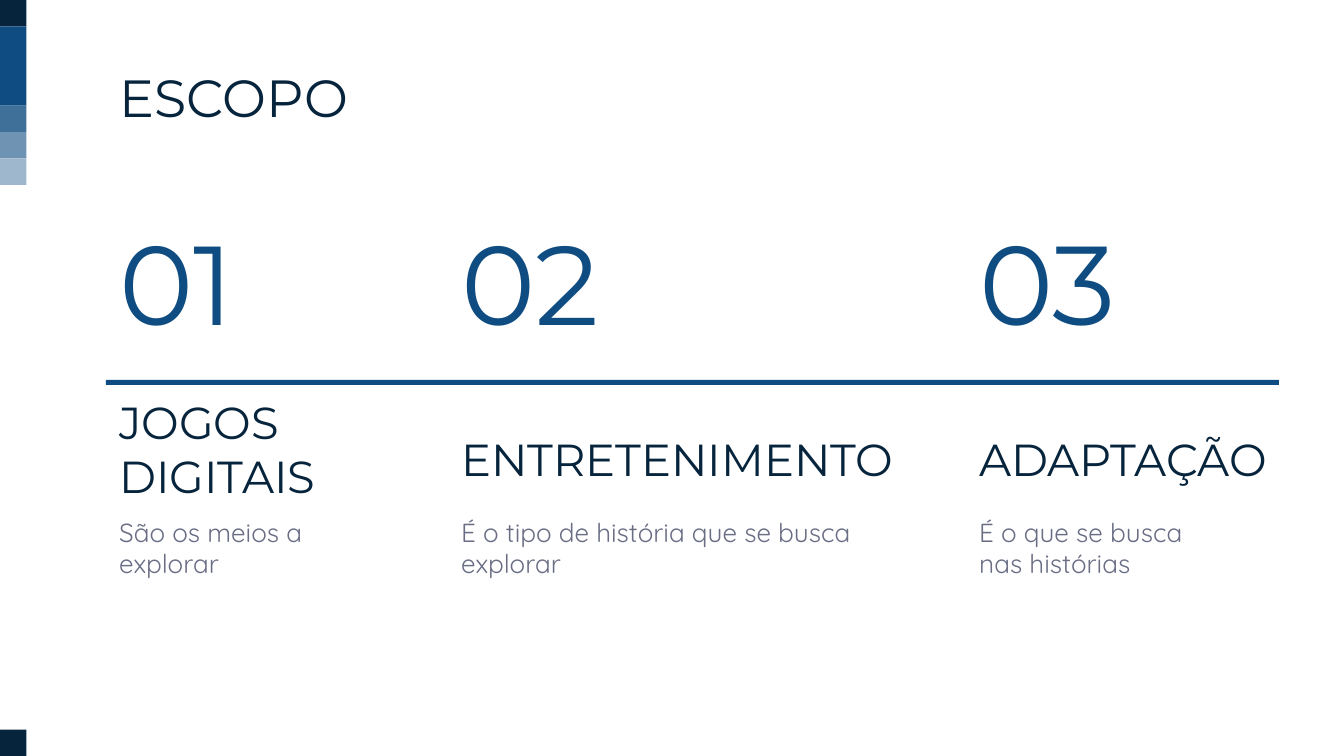
import pptx
import pptx.util
import pptx.dml.color
import pptx.enum.shapes
import pptx.enum.text

ANCHOR = pptx.enum.text.MSO_ANCHOR
PX = 914400 / 134.4
WIDTH, HEIGHT = 1344, 756
LEFT = 106
INSET = 0.1
NAVY, BLUE, GRAY = "07243D", "0F4C81", "6A6E85"

TITLE = "ESCOPO"
COLUMNS = [
    {"left": LEFT, "number": "01", "heading": "JOGOS DIGITAIS", "heading_top": 431,
     "heading_width": 271, "body": "São os meios a explorar", "body_width": 271},
    {"left": 448, "number": "02", "heading": "ENTRETENIMENTO", "heading_top": 414,
     "heading_width": 472, "body": "É o tipo de história que se busca explorar",
     "body_width": 458},
    {"left": 966, "number": "03", "heading": "ADAPTAÇÃO", "heading_top": 414,
     "heading_width": 332, "body": "É o que se busca nas histórias", "body_width": 271},
]

BAND = 26.4
BANDS = [(NAVY, 1), (BLUE, 3), ("3F709A", 1), ("6F94B3", 1), ("9FB7CD", 1)]

STYLES = {
    "title": {"name": "Montserrat", "size": 28, "color": NAVY, "anchor": ANCHOR.TOP},
    "number": {"name": "Montserrat", "size": 60, "color": BLUE, "anchor": ANCHOR.MIDDLE},
    "heading": {"name": "Montserrat", "size": 24, "color": NAVY, "anchor": ANCHOR.BOTTOM},
    "body": {"name": "Quicksand", "size": 14, "color": GRAY, "anchor": ANCHOR.TOP},
}


def px(value):
    return pptx.util.Emu(round(value * PX))


def color(value):
    return pptx.dml.color.RGBColor.from_string(value)


def add_rect(s, left, top, width, height, fill):
    sp = s.shapes.add_shape(pptx.enum.shapes.MSO_SHAPE.RECTANGLE,
                            px(left), px(top), px(width), px(height))
    sp.shadow.inherit = False
    sp.fill.solid()
    sp.fill.fore_color.rgb = color(fill)
    sp.line.fill.background()


def add_text(s, left, top, width, height, text, style):
    tf = s.shapes.add_textbox(px(left), px(top), px(width), px(height)).text_frame
    look = STYLES[style]
    frame = {"word_wrap": True, "vertical_anchor": look["anchor"]}
    for side in ("left", "top", "right", "bottom"):
        frame[f"margin_{side}"] = pptx.util.Inches(INSET)
    for key, value in frame.items():
        setattr(tf, key, value)
    r = tf.paragraphs[0].add_run()
    r.text = text
    for key, value in {"name": look["name"], "size": pptx.util.Pt(look["size"])}.items():
        setattr(r.font, key, value)
    r.font.color.rgb = color(look["color"])


prs = pptx.Presentation()
prs.slide_width, prs.slide_height = px(WIDTH), px(HEIGHT)
s = prs.slides.add_slide(prs.slide_layouts[6])

top = 0
for fill, units in BANDS:
    add_rect(s, 0, top, BAND, units * BAND, fill)
    top += units * BAND
add_rect(s, 0, HEIGHT - BAND, BAND, BAND, NAVY)

add_text(s, LEFT, 52, 1034, 93, TITLE, "title")
add_rect(s, LEFT, 380, 1173, 5, BLUE)
for col in COLUMNS:
    left = col["left"]
    add_text(s, left, 238, 171, 85, col["number"], "number")
    add_text(s, left, col["heading_top"], col["heading_width"], 85, col["heading"], "heading")
    add_text(s, left, 503, col["body_width"], 129, col["body"], "body")

prs.save("out.pptx")
